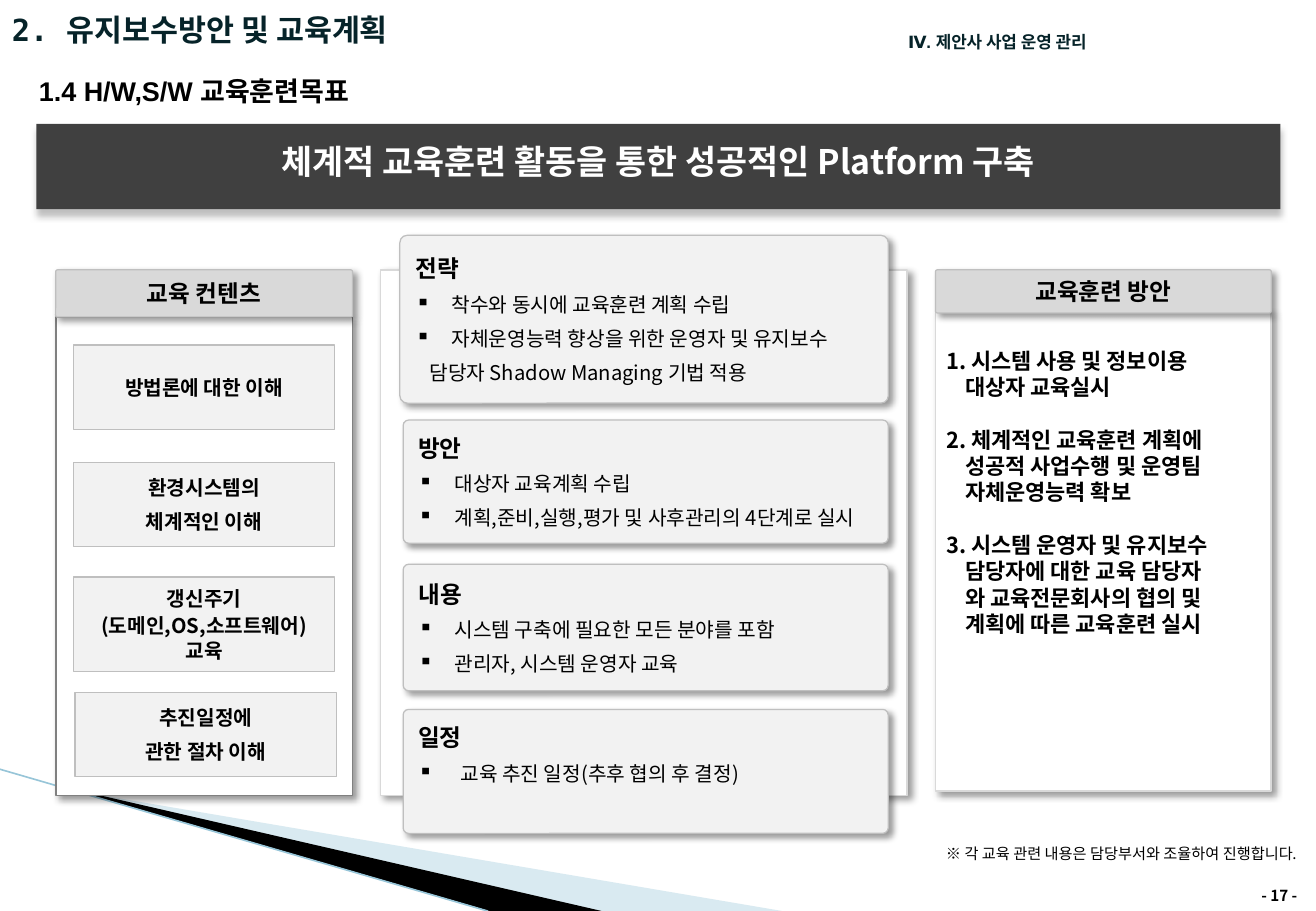
from dataclasses import dataclass, replace

from lxml import etree
from pptx import Presentation
from pptx.dml.color import RGBColor
from pptx.enum.shapes import MSO_CONNECTOR, MSO_SHAPE
from pptx.enum.text import MSO_ANCHOR, PP_ALIGN
from pptx.oxml.ns import qn
from pptx.util import Pt

RECTANGLE, ROUNDED = MSO_SHAPE.RECTANGLE, MSO_SHAPE.ROUNDED_RECTANGLE
STRAIGHT = MSO_CONNECTOR.STRAIGHT
LEFT, CENTER, RIGHT = PP_ALIGN.LEFT, PP_ALIGN.CENTER, PP_ALIGN.RIGHT
TOP, MIDDLE = MSO_ANCHOR.TOP, MSO_ANCHOR.MIDDLE

BLACK = RGBColor(0x00, 0x00, 0x00)
WHITE = RGBColor(0xFF, 0xFF, 0xFF)
INK = RGBColor(0x06, 0x23, 0x29)
CHARCOAL = RGBColor(0x40, 0x40, 0x40)
GRAY = RGBColor(0x80, 0x80, 0x80)
SILVER = RGBColor(0xBF, 0xBF, 0xBF)
LIGHT_GRAY = RGBColor(0xD9, 0xD9, 0xD9)
PALE_GRAY = RGBColor(0xF2, 0xF2, 0xF2)
WEDGE_BLUE = RGBColor(0xA0, 0xCB, 0xDC)
EDGE_BLUE = RGBColor(0x97, 0xC5, 0xD8)

KOREAN, ARIAL, MONO = "Noto Sans CJK KR", "Arial", "DejaVu Sans Mono"
LINE_RATIO = 1.2


@dataclass(frozen=True)
class Area:
    left: float
    top: float
    width: float
    height: float


@dataclass(frozen=True)
class Style:
    size: float
    font: str = KOREAN
    bold: bool = True
    color: RGBColor = BLACK
    align: PP_ALIGN = LEFT
    before: float = 0
    after: float = 0
    margin: float = 0
    hanging: float = 0
    bullet: str = ""
    line_ratio: float = LINE_RATIO


@dataclass(frozen=True)
class Line:
    text: str
    style: Style


@dataclass(frozen=True)
class Shadow:
    color: RGBColor
    opacity: int
    distance: float
    angle: int
    blur: float = 4


@dataclass(frozen=True)
class Look:
    fill: RGBColor
    line: RGBColor | None = None
    line_width: float = 0.75
    shadow: Shadow | None = None
    corner: float | None = None


SOFT = Shadow(BLACK, 40, 3, 45)
BANNER = Look(CHARCOAL, shadow=Shadow(SILVER, 100, 4, 90))
COLUMN = Look(WHITE, LIGHT_GRAY, 1, SOFT, 0)
HEADER = Look(LIGHT_GRAY, SILVER, shadow=SOFT, corner=0.04)
PANEL = Look(PALE_GRAY, SILVER, shadow=SOFT, corner=0.044)
TILE = Look(PALE_GRAY, SILVER)

DEFAULT_INSETS = (7.2, 3.6, 7.2, 3.6)
CARD_INSETS = (8, 4, 8, 4)
HEADER_STYLE = Style(14, ARIAL, align=CENTER)
PANEL_HEADING = Style(14, before=3.4, after=2.3)
PANEL_TEXT = Style(12, bold=False, before=3.4, after=2.3, margin=8.3)
PANEL_BULLET = replace(PANEL_TEXT, margin=21.5, hanging=21.5, bullet="▪")
TILE_STYLE = Style(12, align=CENTER, before=3.4, after=2.3)
TIGHT_TILE_STYLE = replace(TILE_STYLE, before=1, after=1)
METHOD_STYLE = Style(13, before=15.6, margin=11.3, hanging=11.3)

COLUMNS = [
    (Area(33, 188, 176, 283.5), replace(COLUMN, line=GRAY)),
    (Area(554.5, 184.5, 199, 284.5), COLUMN),
    (Area(225.5, 160, 312, 311.5), COLUMN),
]
HEADERS = [
    (Area(33, 160, 176, 28), "교육 컨텐츠"),
    (Area(554.5, 160, 199, 25.5), "교육훈련 방안"),
]
PANELS = [
    (Area(237, 139.5, 289.5, 99.5), CARD_INSETS, [
        Line("전략", PANEL_HEADING),
        Line("착수와 동시에 교육훈련 계획 수립", PANEL_BULLET),
        Line("자체운영능력 향상을 위한 운영자 및 유지보수", PANEL_BULLET),
        Line("담당자 Shadow Managing 기법 적용", PANEL_TEXT)]),
    (Area(239, 249, 287.5, 73), CARD_INSETS, [
        Line("방안", PANEL_HEADING),
        Line("대상자 교육계획 수립", PANEL_BULLET),
        Line("계획,준비,실행,평가 및 사후관리의 4단계로 실시", PANEL_BULLET)]),
    (Area(239, 334.5, 287.5, 75), CARD_INSETS, [
        Line("내용", PANEL_HEADING),
        Line("시스템 구축에 필요한 모든 분야를 포함", PANEL_BULLET),
        Line("관리자, 시스템 운영자 교육", PANEL_BULLET)]),
    (Area(239, 420.5, 287.5, 73.5), (8, 4, 8, 24), [
        Line("일정", PANEL_HEADING),
        Line("교육 추진 일정(추후 협의 후 결정)",
             replace(PANEL_BULLET, margin=25, hanging=25))]),
]
TILES = [
    (Area(43.5, 204.5, 155, 50), TILE_STYLE, ["방법론에 대한 이해"]),
    (Area(43.5, 274, 155, 50), TILE_STYLE, ["환경시스템의", "체계적인 이해"]),
    (Area(43.5, 342, 155, 56), TIGHT_TILE_STYLE,
     ["갱신주기", "(도메인,OS,소프트웨어) 교육"]),
    (Area(44.5, 410.5, 155, 50), TILE_STYLE, ["추진일정에", "관한 절차 이해"]),
]
METHODS = [
    "1. 시스템 사용 및 정보이용\v대상자 교육실시",
    "2. 체계적인 교육훈련 계획에\v성공적 사업수행 및 운영팀\v자체운영능력 확보",
    "3. 시스템 운영자 및 유지보수\v담당자에 대한 교육 담당자\v"
    "와 교육전문회사의 협의 및\v계획에 따른 교육훈련 실시",
]
LABELS = [
    (Area(0, 3.5, 628.5, 28), MIDDLE,
     Line("2. 유지보수방안 및 교육계획", Style(18, MONO, color=INK))),
    (Area(390, 9.5, 261, 16.5), TOP,
     Line("Ⅳ. 제안사 사업 운영 관리",
          Style(10, ARIAL, color=INK, align=RIGHT, line_ratio=1.8))),
    (Area(16, 40.5, 211.5, 26.5), TOP,
     Line("1.4 H/W,S/W 교육훈련목표", Style(16, ARIAL))),
    (Area(527.5, 497, 248, 18), TOP,
     Line("※ 각 교육 관련 내용은 담당부서와 조율하여 진행합니다.",
          Style(9, bold=False, align=RIGHT))),
    (Area(735.5, 522, 40.5, 18), TOP, Line("- 17 -", Style(9, align=RIGHT))),
]
WEDGES = [
    ([(42.5, 468.5), (463.5, 540), (355.5, 540), (42.5, 468)], WEDGE_BLUE, 40),
    ([(42, 467.5), (356.5, 540), (290, 540), (42, 468)], BLACK, 100),
]


def write_lines(shape, lines: list[Line], anchor: MSO_ANCHOR = MIDDLE,
                insets: tuple = DEFAULT_INSETS) -> None:
    frame = shape.text_frame
    frame.word_wrap = True
    frame.vertical_anchor = anchor
    (frame.margin_left, frame.margin_top,
     frame.margin_right, frame.margin_bottom) = map(Pt, insets)
    for index, line in enumerate(lines):
        style = line.style
        paragraph = frame.add_paragraph() if index else frame.paragraphs[0]
        paragraph.text = line.text
        paragraph.alignment = style.align
        paragraph.line_spacing = Pt(style.size * style.line_ratio)
        paragraph.space_before = Pt(style.before if index else 0)
        paragraph.space_after = Pt(style.after)
        properties = paragraph._p.get_or_add_pPr()
        properties.set("marL", str(Pt(style.margin)))
        properties.set("indent", str(-Pt(style.hanging)))
        if style.bullet:
            etree.SubElement(properties, qn("a:buChar"), char=style.bullet)
        for run in paragraph.runs:
            run.font.size = Pt(style.size)
            run.font.bold = style.bold
            run.font.color.rgb = style.color
            run.font.name = style.font
            etree.SubElement(run.font._element, qn("a:ea"), typeface=KOREAN)


def add_alpha(color_element, percent: int) -> None:
    etree.SubElement(color_element, qn("a:alpha"), val=str(percent * 1000))


def add_box(slide, area: Area, look: Look):
    shape = slide.shapes.add_shape(
        RECTANGLE if look.corner is None else ROUNDED,
        Pt(area.left), Pt(area.top), Pt(area.width), Pt(area.height))
    if look.corner is not None:
        shape.adjustments[0] = look.corner
    shape.fill.solid()
    shape.fill.fore_color.rgb = look.fill
    if look.line is None:
        shape.line.fill.background()
    else:
        shape.line.color.rgb = look.line
        shape.line.width = Pt(look.line_width)
    shape.shadow.inherit = False
    if look.shadow:
        effects = shape._element.spPr.find(qn("a:effectLst"))
        outer = etree.SubElement(
            effects, qn("a:outerShdw"), blurRad=str(Pt(look.shadow.blur)),
            dist=str(Pt(look.shadow.distance)), dir=str(look.shadow.angle * 60000),
            algn="tl", rotWithShape="0")
        color = etree.SubElement(outer, qn("a:srgbClr"), val=str(look.shadow.color))
        add_alpha(color, look.shadow.opacity)
    return shape


def add_label(slide, area: Area, lines: list[Line], anchor: MSO_ANCHOR = TOP,
              insets: tuple = DEFAULT_INSETS) -> None:
    box = slide.shapes.add_textbox(
        Pt(area.left), Pt(area.top), Pt(area.width), Pt(area.height))
    write_lines(box, lines, anchor, insets)


def add_corner_decoration(slide) -> None:
    for points, color, opacity in WEDGES:
        corners = [(Pt(x), Pt(y)) for x, y in points]
        builder = slide.shapes.build_freeform(*corners[0], scale=1.0)
        builder.add_line_segments(corners[1:], close=True)
        wedge = builder.convert_to_shape()
        wedge.fill.solid()
        wedge.fill.fore_color.rgb = color
        add_alpha(wedge._element.spPr.find(".//" + qn("a:srgbClr")), opacity)
        wedge.line.fill.background()
        wedge.shadow.inherit = False
    edge = slide.shapes.add_connector(STRAIGHT, Pt(0), Pt(456), Pt(289), Pt(540))
    edge.line.color.rgb = EDGE_BLUE
    edge.line.width = Pt(0.95)
    etree.SubElement(edge._element.spPr, qn("a:effectLst"))


def main() -> None:
    presentation = Presentation()
    presentation.slide_width, presentation.slide_height = Pt(780), Pt(540)
    slide = presentation.slides.add_slide(presentation.slide_layouts[6])
    add_corner_decoration(slide)
    for area, anchor, line in LABELS:
        add_label(slide, area, [line], anchor)
    banner = add_box(slide, Area(21.5, 73.5, 737.5, 50.5), BANNER)
    write_lines(banner, [Line("체계적 교육훈련 활동을 통한 성공적인 Platform 구축",
                              Style(20, color=WHITE, align=CENTER, line_ratio=0.88))])
    for area, look in COLUMNS:
        add_box(slide, area, look)
    for area, title in HEADERS:
        write_lines(add_box(slide, area, HEADER), [Line(title, HEADER_STYLE)])
    add_label(slide, Area(556.5, 202.5, 196, 180.5),
              [Line(text, METHOD_STYLE) for text in METHODS],
              insets=(4.3, 3.6, 4.3, 3.6))
    for area, insets, lines in PANELS:
        write_lines(add_box(slide, area, PANEL), lines, insets=insets)
    for area, style, texts in TILES:
        write_lines(add_box(slide, area, TILE),
                    [Line(text, style) for text in texts], insets=CARD_INSETS)
    presentation.save("out.pptx")


if __name__ == "__main__":
    main()
